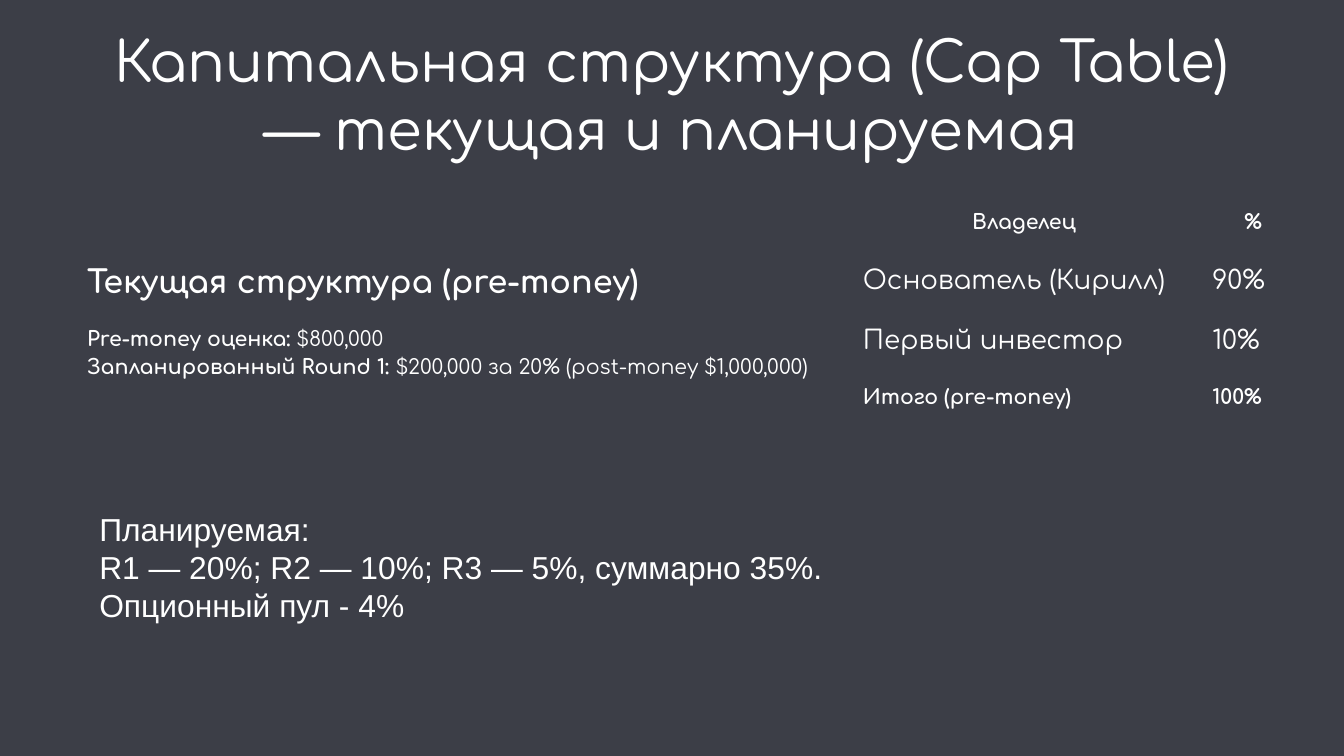
from dataclasses import dataclass

import pptx
import pptx.dml.color
import pptx.enum.text
import pptx.oxml.ns
import pptx.util
from pptx.util import Inches

WHITE = "FFFFFF"
BACKGROUND = "3C3E47"
ALIGN = pptx.enum.text.PP_ALIGN
ANCHOR = pptx.enum.text.MSO_ANCHOR


@dataclass
class Run:
    text: str
    size: float
    bold: bool = False
    font: str = "Comfortaa"


@dataclass
class OwnerRow:
    owner: str
    share: str
    size: float
    bold: bool
    align: ALIGN
    height: float


OWNER_ROWS = [
    OwnerRow("Владелец", "%", 11, True, ALIGN.CENTER, 0.39),
    OwnerRow("Основатель (Кирилл)", "90%", 14, False, ALIGN.LEFT, 0.43),
    OwnerRow("Первый инвестор", "10%", 14, False, ALIGN.LEFT, 0.43),
    OwnerRow("Итого (pre-money)", "100%", 11, True, ALIGN.LEFT, 0.39),
]
CURRENT_TERMS = [
    [Run("Pre-money оценка:", 11, True), Run(" $800,000", 11)],
    [Run("Запланированный Round 1:", 11, True),
     Run(" $200,000 за 20% (post-money $1,000,000)", 11)],
]
PLANNED_TERMS = [
    [Run(line, 17, font="Arial")]
    for line in (
        "Планируемая:",
        "R1 — 20%; R2 — 10%; R3 — 5%, суммарно 35%.",
        "Опционный пул - 4%",
    )
]


def rgb(value: str) -> pptx.dml.color.RGBColor:
    return pptx.dml.color.RGBColor.from_string(value)


def set_attributes(target, values: dict) -> None:
    for name, value in values.items():
        setattr(target, name, value)


def write_lines(paragraph, lines: list[list[Run]], **paragraph_format) -> None:
    """Fill one paragraph with lines parted by line breaks."""
    set_attributes(paragraph, paragraph_format)
    for index, line in enumerate(lines):
        if index:
            paragraph.add_line_break()
        for part in line:
            run = paragraph.add_run()
            run.text = part.text
            set_attributes(run.font, {
                "name": part.font,
                "size": pptx.util.Pt(part.size),
                "bold": part.bold,
            })
            run.font.color.rgb = rgb(WHITE)


def set_frame(frame, inset: float, anchor: ANCHOR) -> None:
    set_attributes(frame, {
        "word_wrap": True,
        "vertical_anchor": anchor,
        "margin_left": Inches(0.1),
        "margin_right": Inches(0.1),
        "margin_top": Inches(inset),
        "margin_bottom": Inches(inset),
    })


def add_text_frame(slide, left: float, top: float, width: float, height: float,
                   anchor: ANCHOR):
    box = slide.shapes.add_textbox(
        Inches(left), Inches(top), Inches(width), Inches(height))
    set_frame(box.text_frame, 0.1, anchor)
    return box.text_frame


def add_title(slide) -> None:
    title = slide.shapes.title
    set_attributes(title, {
        "left": Inches(0.5), "top": Inches(0.23),
        "width": Inches(9), "height": Inches(0.94),
    })
    set_frame(title.text_frame, 0.05, ANCHOR.MIDDLE)
    title.text_frame.auto_size = pptx.enum.text.MSO_AUTO_SIZE.NONE
    heading = Run("Капитальная структура (Cap Table) — текущая и планируемая", 30)
    write_lines(title.text_frame.paragraphs[0], [[heading]], alignment=ALIGN.CENTER)


def add_cap_table(slide) -> None:
    widths = (2.6, 0.81)
    table = slide.shapes.add_table(
        len(OWNER_ROWS), len(widths), Inches(6.32), Inches(1.45),
        Inches(sum(widths)), Inches(sum(row.height for row in OWNER_ROWS))).table
    set_attributes(table, {"first_row": False, "horz_banding": False})
    for column, width in zip(table.columns, widths):
        column.width = Inches(width)
    for table_row, entry in zip(table.rows, OWNER_ROWS):
        table_row.height = Inches(entry.height)
        for cell, text in zip(table_row.cells, (entry.owner, entry.share)):
            cell.fill.background()
            set_attributes(cell, {
                f"margin_{side}": Inches(0.1)
                for side in ("left", "right", "top", "bottom")
            })
            write_lines(cell.text_frame.paragraphs[0],
                        [[Run(text, entry.size, entry.bold)]],
                        alignment=entry.align, line_spacing=1.15)
    # The "No Style, No Grid" style leaves the cells without borders.
    style = table._tbl.tblPr.find(pptx.oxml.ns.qn("a:tableStyleId"))
    style.text = "{2D5ABB26-0587-4C30-8999-92F81FD0307C}"


def add_current_structure(slide) -> None:
    frame = add_text_frame(slide, 0.55, 1.52, 5.64, 1.68, ANCHOR.MIDDLE)
    write_lines(frame.paragraphs[0],
                [[Run("Текущая структура (pre-money)", 17, True)]],
                line_spacing=1.15)
    write_lines(frame.add_paragraph(), CURRENT_TERMS, line_spacing=1.15,
                space_before=pptx.util.Pt(12), space_after=pptx.util.Pt(12))


def add_planned_structure(slide) -> None:
    frame = add_text_frame(slide, 0.64, 3.69, 6.88, 1.06, ANCHOR.TOP)
    frame.auto_size = pptx.enum.text.MSO_AUTO_SIZE.SHAPE_TO_FIT_TEXT
    write_lines(frame.paragraphs[0], PLANNED_TERMS)


def main() -> None:
    presentation = pptx.Presentation()
    width = Inches(10)
    set_attributes(presentation, {
        "slide_width": width, "slide_height": width * 9 // 16})
    slide = presentation.slides.add_slide(presentation.slide_layouts[5])
    slide.background.fill.solid()
    slide.background.fill.fore_color.rgb = rgb(BACKGROUND)
    add_title(slide)
    add_cap_table(slide)
    add_current_structure(slide)
    add_planned_structure(slide)
    presentation.save("out.pptx")


if __name__ == "__main__":
    main()
